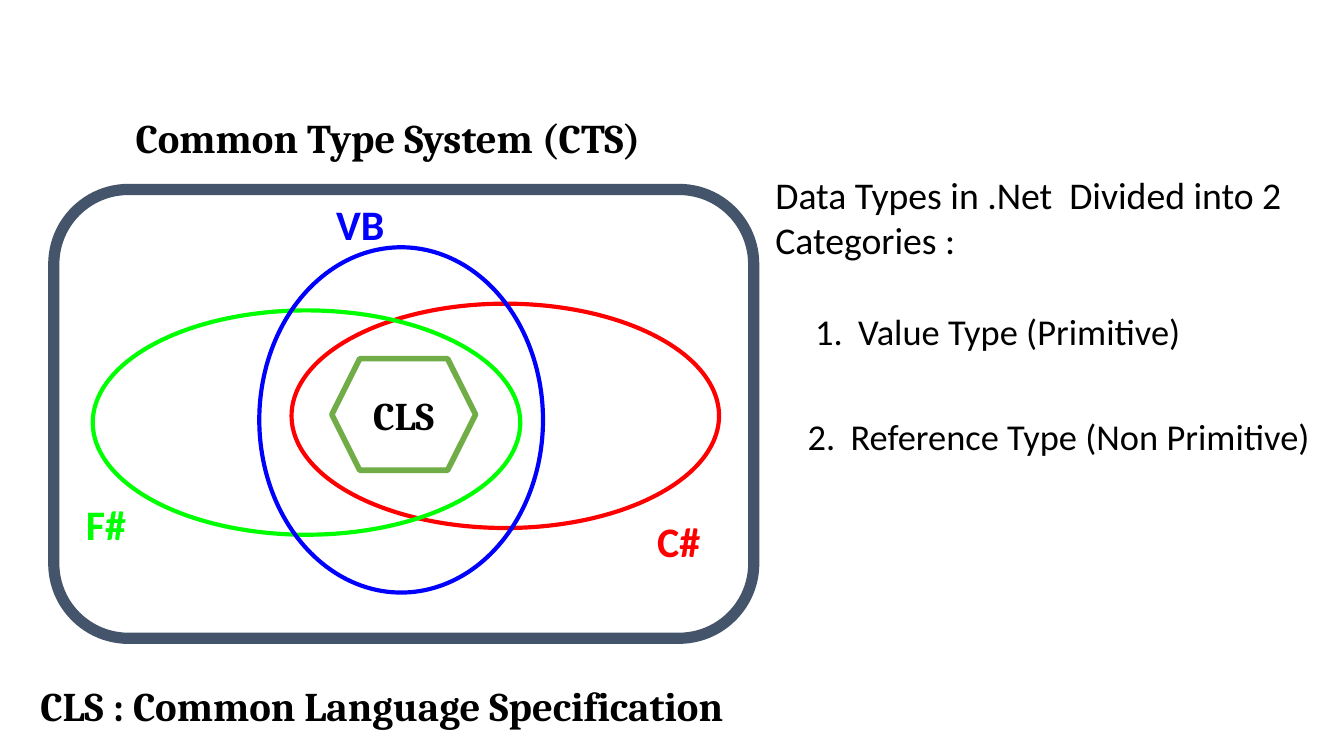
import pptx
import pptx.dml.color
import pptx.enum.shapes
import pptx.enum.text
import pptx.oxml
import pptx.oxml.ns
import pptx.util

COLORS = {
    "text": "000000",
    "paper": "FFFFFF",
    "frame": "44546A",
    "core": "70AD47",
    "red": "FF0000",
    "green": "00FF00",
    "blue": "0000FF",
}
HEADING = {"name": "Cambria", "size": 21.8, "bold": True}
CORE = {"name": "Cambria", "size": 21, "bold": True}
LABEL = {"name": "Calibri", "size": 22.5, "bold": True}
INTRO = {"name": "Calibri", "size": 20.2, "bold": False}
ITEM = {"name": "Calibri", "size": 19.5, "bold": False}

SHAPES = pptx.enum.shapes.MSO_SHAPE
ALIGN = pptx.enum.text.PP_ALIGN
ANCHOR = pptx.enum.text.MSO_ANCHOR


class SlideBuilder:
    inset = 5
    hanging = 23
    item_gap = 33

    def __init__(self, deck):
        self.page = deck.slides.add_slide(deck.slide_layouts[1])

    def color(self, key):
        return pptx.dml.color.RGBColor.from_string(COLORS[key])

    def place(self, box, area):
        for side, length in zip(("left", "top", "width", "height"), area):
            setattr(box, side, pptx.util.Pt(length))

    def style_frame(self, frame, anchor=ANCHOR.TOP):
        margin = pptx.util.Pt(self.inset)
        settings = {
            "margin_left": margin,
            "margin_top": margin,
            "margin_right": margin,
            "margin_bottom": margin,
            "word_wrap": True,
            "auto_size": pptx.enum.text.MSO_AUTO_SIZE.NONE,
            "vertical_anchor": anchor,
        }
        for name, value in settings.items():
            setattr(frame, name, value)

    def fill_paragraph(self, para, text, style, color="text", align=ALIGN.LEFT):
        para.alignment = align
        span = para.add_run()
        span.text = text
        for name, value in style.items():
            setattr(span.font, name, pptx.util.Pt(value) if name == "size" else value)
        span.font.color.rgb = self.color(color)

    def title(self, text, area):
        box = self.page.shapes.title
        self.place(box, area)
        self.style_frame(box.text_frame)
        self.fill_paragraph(box.text_frame.paragraphs[0], text, HEADING)

    def numbered_list(self, items, area):
        box = self.page.placeholders[1]
        self.place(box, area)
        frame = box.text_frame
        self.style_frame(frame)
        for index, (text, indent) in enumerate(items):
            para = frame.add_paragraph() if index else frame.paragraphs[0]
            para.space_before = pptx.util.Pt(self.item_gap if index else 0)
            properties = para._p.get_or_add_pPr()
            properties.set("marL", str(pptx.util.Pt(indent)))
            properties.set("indent", str(-pptx.util.Pt(self.hanging)))
            number = pptx.oxml.parse_xml(
                f'<a:buAutoNum {pptx.oxml.ns.nsdecls("a")} type="arabicPeriod"/>'
            )
            properties.append(number)
            self.fill_paragraph(para, text, ITEM)

    def text(self, text, area, style, color="text"):
        box = self.page.shapes.add_textbox(*map(pptx.util.Pt, area))
        self.style_frame(box.text_frame)
        self.fill_paragraph(box.text_frame.paragraphs[0], text, style, color)

    def outline(self, kind, area, color, weight, fill=None, rotation=0):
        box = self.page.shapes.add_shape(kind, *map(pptx.util.Pt, area))
        box.shadow.inherit = False
        box.rotation = rotation
        if fill:
            box.fill.solid()
            box.fill.fore_color.rgb = self.color(fill)
        else:
            box.fill.background()
        box.line.color.rgb = self.color(color)
        box.line.width = pptx.util.Pt(weight)
        return box

    def core(self, text, area):
        box = self.outline(SHAPES.HEXAGON, area, "core", 3, "paper")
        box.adjustments[0] = 0.25
        self.style_frame(box.text_frame, ANCHOR.MIDDLE)
        self.fill_paragraph(box.text_frame.paragraphs[0], text, CORE, align=ALIGN.CENTER)


def main():
    deck = pptx.Presentation()
    deck.slide_width = pptx.util.Pt(720)
    deck.slide_height = pptx.util.Pt(405)
    slide = SlideBuilder(deck)

    slide.title("Common Type System (CTS)", (67.7, 55.4, 296, 37.4))
    slide.outline(SHAPES.ROUNDED_RECTANGLE, (28.8, 101.5, 375, 240.5), "frame", 6, "paper")
    slide.core("CLS", (177.8, 192.2, 77, 59.8))

    languages = [
        ("C#", "red", (156.2, 162.7, 229, 120.2), 0, (347, 271.4)),
        ("F#", "green", (49.7, 166.3, 229, 120.2), 0, (41, 262.1)),
        ("VB", "blue", (122.4, 149, 185, 152), 90, (175, 101.5)),
    ]
    for name, color, area, rotation, corner in languages:
        slide.outline(SHAPES.OVAL, area, color, 2.25, rotation=rotation)
        slide.text(name, (*corner, 56.2, 38.2), LABEL, color)

    slide.text("CLS : Common Language Specification", (16.6, 360, 403, 37.4), HEADING)
    slide.text("Data Types in .Net  Divided into 2 Categories :", (410.4, 87.1, 301, 59.8), INTRO)
    items = [("Value Type (Primitive)", 27), ("Reference Type (Non Primitive)", 23)]
    slide.numbered_list(items, (427.7, 160.6, 292.3, 91.4))

    deck.save("out.pptx")


if __name__ == "__main__":
    main()
